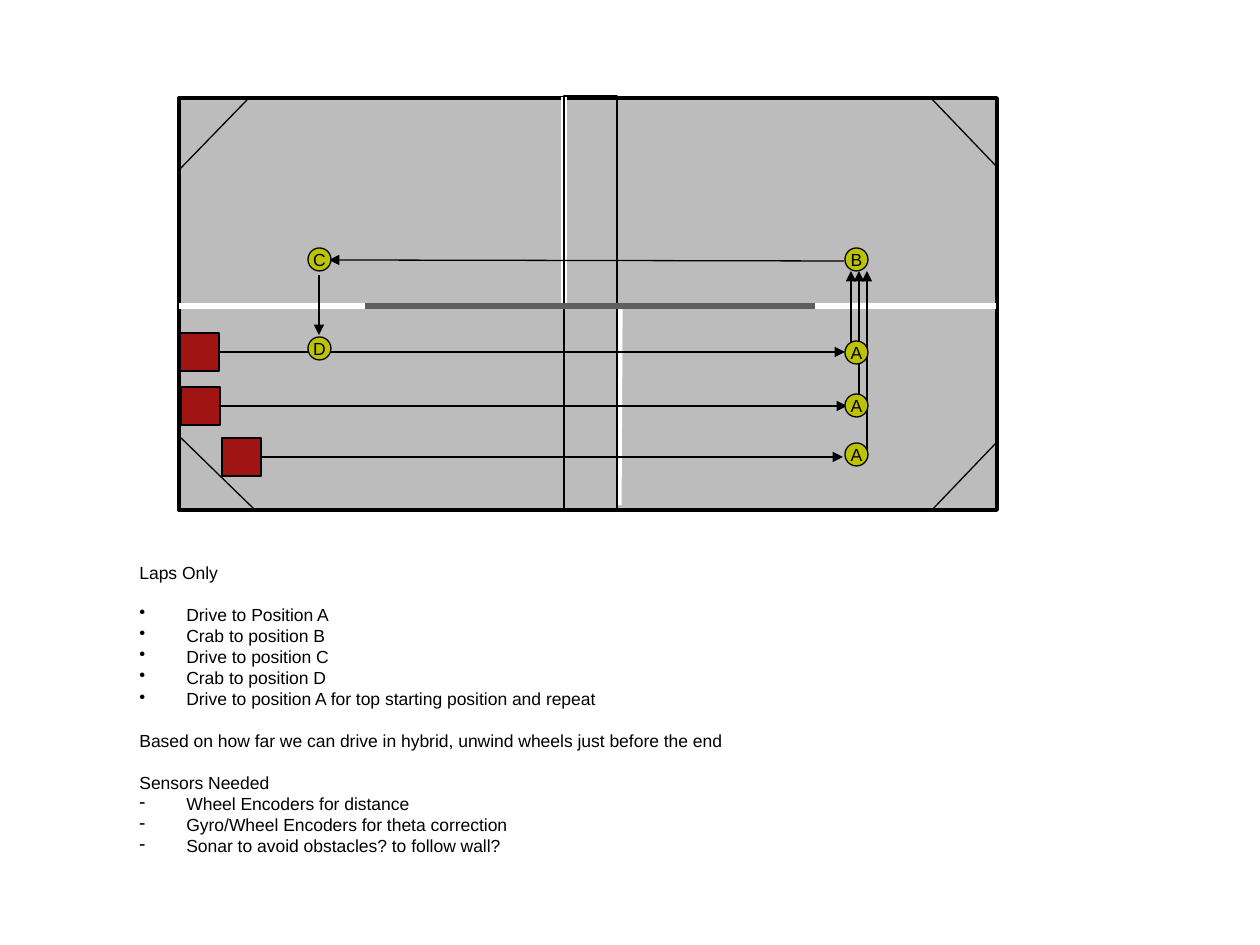
"""Build the slide with the field map and the steps of the laps-only drive plan."""
from lxml.etree import SubElement
from pptx import Presentation
from pptx.dml.color import RGBColor
from pptx.enum.shapes import MSO_CONNECTOR, MSO_SHAPE
from pptx.enum.text import MSO_ANCHOR, PP_ALIGN
from pptx.oxml.ns import qn
from pptx.util import Inches, Pt

SCALE = Inches(10) / 1260
BLACK = RGBColor(0x00, 0x00, 0x00)
WHITE = RGBColor(0xFF, 0xFF, 0xFF)
FIELD_GREY = RGBColor(0xBC, 0xBC, 0xBC)
BARRIER_GREY = RGBColor(0x5F, 0x5F, 0x5F)
ROBOT_RED = RGBColor(0xA0, 0x14, 0x14)
STOP_YELLOW = RGBColor(0xBD, 0xC2, 0x02)
TEXT_FORMAT = {"name": "Arial", "size": Pt(10)}


def add_area(shapes, kind, box, fill, weight=0.75):
    area = shapes.add_shape(kind, *[round(v * SCALE) for v in box])
    area.shadow.inherit = False
    if fill is None:
        area.fill.background()
    else:
        area.fill.solid()
        area.fill.fore_color.rgb = fill
    area.line.color.rgb = BLACK
    area.line.width = Pt(weight)
    return area


def add_line(shapes, ends, color=BLACK, weight=0.75, arrow=False):
    line = shapes.add_connector(MSO_CONNECTOR.STRAIGHT, *[round(v * SCALE) for v in ends])
    line.line.color.rgb = color
    line.line.width = Pt(weight)
    if arrow:
        SubElement(line.line._get_or_add_ln(), qn("a:tailEnd"), type="triangle")
    SubElement(line._element.spPr, qn("a:effectLst"))
    return line


prs = Presentation()
prs.slide_width, prs.slide_height = Inches(10), Inches(7.5)
slide = prs.slides.add_slide(prs.slide_layouts[6])

field = slide.shapes.add_group_shape().shapes
add_area(field, MSO_SHAPE.RECTANGLE, (179, 98, 818, 412), FIELD_GREY, 2.25)
corners = [(180, 169, 247, 100), (178, 435, 254, 509), (996, 443, 931, 511), (996, 166, 930, 97)]
for corner in corners:
    add_line(field, corner)
for marking in [(179, 306, 996, 306), (564, 97, 564, 303), (619, 505, 620, 306)]:
    add_line(field, marking, WHITE, 3)
add_area(field, MSO_SHAPE.RECTANGLE, (564, 96, 53, 413), None)
add_line(field, (365, 306, 815, 306), BARRIER_GREY, 3)

for left, top, arrow_end in [(180, 333, 845), (181, 387, 847), (222, 438, 843)]:
    robot = add_area(slide.shapes, MSO_SHAPE.RECTANGLE, (left, top, 39, 38), ROBOT_RED)
    middle = top + 19
    drive = add_line(slide.shapes, (left + 39, middle, arrow_end, middle), arrow=True)
    drive.begin_connect(robot, 3)

moves = [(851, 343, 851, 271), (859, 402, 859, 271), (867, 459, 867, 271),
         (844, 261, 329, 260), (319, 275, 319, 335)]
for move in moves:
    add_line(slide.shapes, move, arrow=True)

stops = [("B", 845, 248), ("C", 308, 248), ("D", 308, 337),
         ("A", 845, 341), ("A", 845, 394), ("A", 845, 443)]
for letter, left, top in stops:
    stop = add_area(slide.shapes, MSO_SHAPE.OVAL, (left, top, 23, 23), STOP_YELLOW)
    label = stop.text_frame
    label.word_wrap = False
    label.vertical_anchor = MSO_ANCHOR.MIDDLE
    label.text = letter
    label.paragraphs[0].alignment = PP_ALIGN.CENTER
    font = label.paragraphs[0].runs[0].font
    font.color.rgb = BLACK
    for key, value in TEXT_FORMAT.items():
        setattr(font, key, value)

plan_lines = [
    ("Laps Only", None, 0),
    ("Drive to Position A", "•", 12),
    ("Crab to position B", "•", 0),
    ("Drive to position C", "•", 0),
    ("Crab to position D", "•", 0),
    ("Drive to position A for top starting position and repeat", "•", 0),
    ("Based on how far we can drive in hybrid, unwind wheels just before the end", None, 12),
    ("Sensors Needed", None, 12),
    ("Wheel Encoders for distance", "-", 0),
    ("Gyro/Wheel Encoders for theta correction", "-", 0),
    ("Sonar to avoid obstacles? to follow wall?", "-", 0),
]
plan_box = [round(v * SCALE) for v in (127, 556, 702, 307)]
plan = slide.shapes.add_textbox(*plan_box).text_frame
plan.word_wrap = True
for index, (words, bullet, gap) in enumerate(plan_lines):
    step = plan.paragraphs[0] if index == 0 else plan.add_paragraph()
    step.space_before = Pt(gap)
    run = step.add_run()
    run.text = words
    run.font.color.rgb = BLACK
    for key, value in TEXT_FORMAT.items():
        setattr(run.font, key, value)
    properties = step._p.get_or_add_pPr()
    indent = round(47 * SCALE)
    properties.set("marL", str(indent))
    properties.set("indent", str(-indent))
    if bullet:
        bullet_color = SubElement(properties, qn("a:buClr"))
        SubElement(bullet_color, qn("a:srgbClr"), val=str(BLACK))
        SubElement(properties, qn("a:buChar"), char=bullet)

prs.save("out.pptx")
